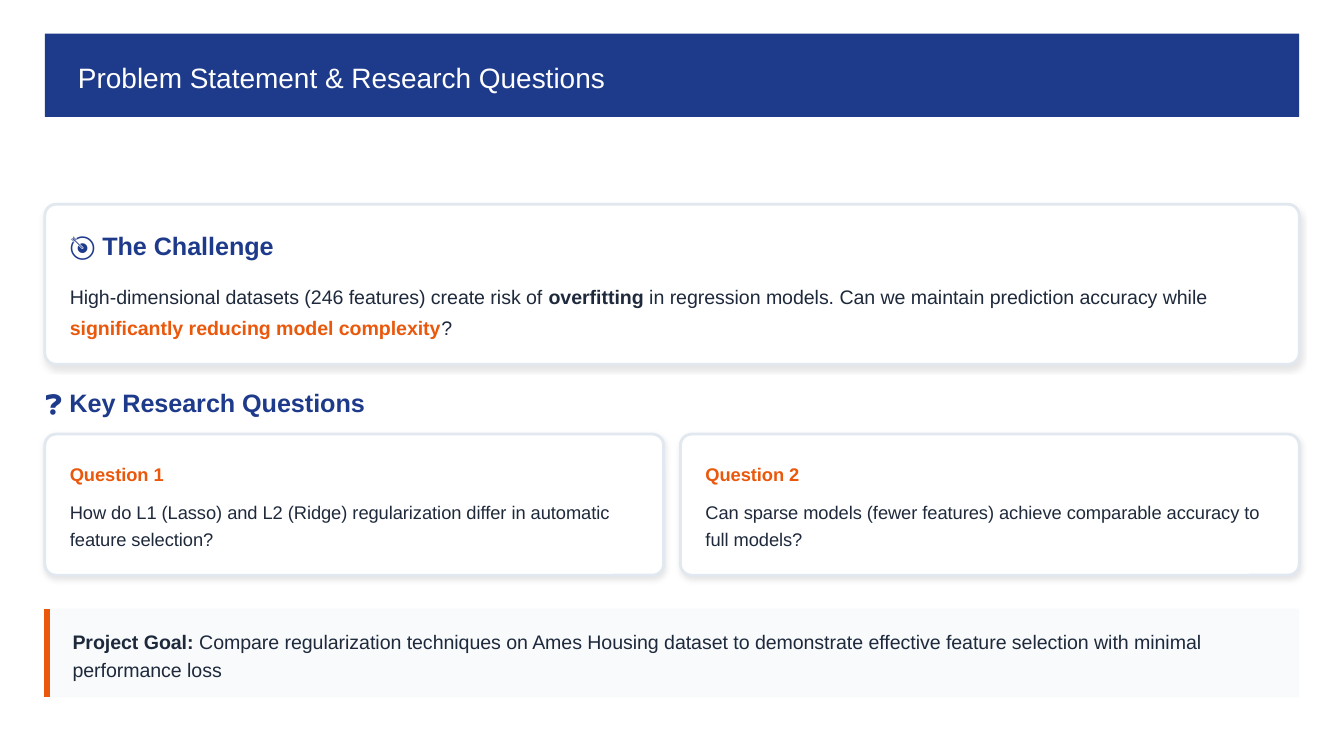
from lxml.etree import SubElement
from pptx import Presentation
from pptx.dml.color import RGBColor
from pptx.enum.shapes import MSO_CONNECTOR as Conn, MSO_SHAPE as Kind
from pptx.enum.text import MSO_ANCHOR as Anchor, MSO_AUTO_SIZE as Fit, PP_ALIGN as Align
from pptx.oxml.ns import qn
from pptx.util import Inches, Pt

NAVY, INK, ORANGE, WHITE = "1E3A8A", "1E293B", "EA580C", "FFFFFF"
EDGE, PALE = "E2E8F0", "F8FAFC"

# Grid in inches: equal side margins, two columns with a gap
LEFT = 1 / 3
WIDE = 10 - 2 * LEFT
GAP = 1 / 8
HALF = (WIDE - GAP) / 2
STEP = HALF + GAP

# Text styles: size, line height and space after in points
STYLES = {
    "title": dict(size=15, line=21, after=0, color=WHITE, bold=False),
    "head": dict(size=13.5, line=16.2, after=9, color=NAVY, bold=True),
    "body": dict(size=10.5, line=16.8, after=0, color=INK, bold=False),
    "label": dict(size=9.75, line=13.65, after=6, color=ORANGE, bold=True),
    "ask": dict(size=9.75, line=14.63, after=0, color=INK, bold=False),
    "goal": dict(size=10.5, line=14.7, after=0, color=INK, bold=False),
}

# Widescreen page, 16 to 9
prs = Presentation()
prs.slide_width = Inches(10)
prs.slide_height = Inches(10 * 9 / 16)
slide = prs.slides.add_slide(prs.slide_layouts[5])
shapes = slide.shapes


def rgb(code):
    return RGBColor.from_string(code)


def write(box, style, runs):
    """Fill a box with one paragraph of (text, changes to the style) runs."""
    look = STYLES[style]
    frame = box.text_frame
    form = dict(margin_left=0, margin_top=0, margin_right=0, margin_bottom=0,
                word_wrap=True, auto_size=Fit.NONE, vertical_anchor=Anchor.TOP)
    for name, value in form.items():
        setattr(frame, name, value)
    para = frame.paragraphs[0]
    form = dict(alignment=Align.LEFT, line_spacing=Pt(look["line"]),
                space_before=Pt(0), space_after=Pt(look["after"]))
    for name, value in form.items():
        setattr(para, name, value)
    for text, change in runs:
        mix = {**look, **change}
        run = para.add_run()
        run.text = text
        for name, value in dict(name="Arial", size=Pt(mix["size"]), bold=mix["bold"]).items():
            setattr(run.font, name, value)
        run.font.color.rgb = rgb(mix["color"])


# Title band and goal panel
for top, high, fill in [(0.25, 0.62, NAVY), (4.53, 0.66, PALE)]:
    band = shapes.add_shape(Kind.RECTANGLE, *map(Inches, (LEFT, top, WIDE, high)))
    band.shadow.inherit = False
    band.fill.solid()
    band.fill.fore_color.rgb = rgb(fill)
    band.line.fill.background()

# Title, brought in front of its band
title = shapes.title
for name, value in dict(left=0.58, top=0.41, width=9.01, height=0.29).items():
    setattr(title, name, Inches(value))
write(title, "title", [("Problem Statement & Research Questions", {})])
band._element.addnext(title._element)

# Cards with a soft shadow
cards = [(LEFT, 1.52, WIDE, 1.19, 0.07), (LEFT, 3.23, HALF, 1.05, 0.08),
         (LEFT + STEP, 3.23, HALF, 1.05, 0.08)]
for *area, curve in cards:
    card = shapes.add_shape(Kind.ROUNDED_RECTANGLE, *map(Inches, area))
    card.adjustments[0] = curve
    card.fill.solid()
    card.fill.fore_color.rgb = rgb(WHITE)
    card.line.color.rgb = rgb(EDGE)
    card.line.width = Pt(1.5)
    card.shadow.inherit = False
    glow = card._element.spPr.find(qn("a:effectLst"))
    shade = SubElement(glow, qn("a:outerShdw"), blurRad=str(Pt(3)), dist=str(Pt(1.5)),
                       dir="5400000", algn="ctr", rotWithShape="0")
    tint = SubElement(shade, qn("a:srgbClr"), val="000000")
    SubElement(tint, qn("a:alpha"), val="10000")

# Accent bar of the goal panel
bar = shapes.add_connector(Conn.STRAIGHT, *map(Inches, (0.35, 4.53, 0.35, 5.19)))
bar.line.color.rgb = rgb(ORANGE)
bar.line.width = Pt(3)
SubElement(bar._element.spPr, qn("a:effectLst"))

# Texts
texts = [
    (0.52, 1.71, 9.14, 0.22, "head", [("🎯 The Challenge", {})]),
    (0.52, 2.06, 9.14, 0.47, "body", [
        ("High-dimensional datasets (246 features) create risk of ", {}),
        ("overfitting", dict(bold=True)),
        (" in regression models. Can we maintain prediction accuracy while ", {}),
        ("significantly reducing model complexity", dict(bold=True, color=ORANGE)),
        ("?", {})]),
    (LEFT, 2.88, 9.52, 0.22, "head", [("❓ Key Research Questions", {})]),
    (0.54, 4.66, 9.14, 0.41, "goal", [
        ("Project Goal:", dict(bold=True)),
        (" Compare regularization techniques on Ames Housing dataset to demonstrate "
         "effective feature selection with minimal performance loss", {})]),
]
asks = ["How do L1 (Lasso) and L2 (Ridge) regularization differ in automatic feature selection?",
        "Can sparse models (fewer features) achieve comparable accuracy to full models?"]
for i, ask in enumerate(asks):
    x = 0.52 + i * STEP
    texts += [(x, 3.42, 4.31, 0.19, "label", [(f"Question {i + 1}", {})]),
              (x, 3.69, 4.31, 0.41, "ask", [(ask, {})])]
for *area, style, runs in texts:
    write(shapes.add_textbox(*map(Inches, area)), style, runs)

prs.save("out.pptx")
